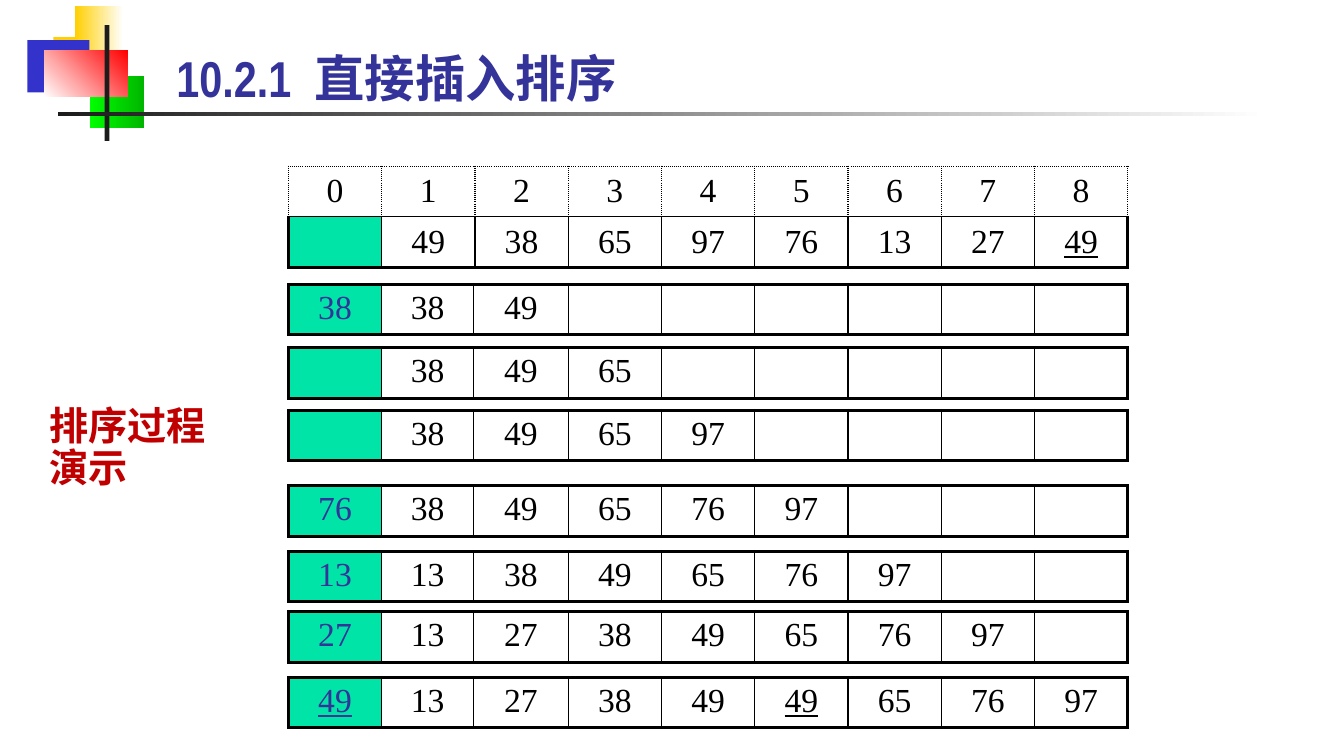
from lxml import etree
from pptx import Presentation
from pptx.dml import color as dml
from pptx.enum import shapes, text
from pptx.oxml import ns
from pptx.util import Pt

CJK = "Noto Sans CJK SC"
BLACK, NAVY, MINT = "000000", "333399", "00E4A8"
THIN, THICK = 1, 2.25
TABLE_LEFT, COLUMN_WIDTH, ROW_HEIGHT, COLUMNS = 206, 66.64, 36, 9

# left, top, width, height, colours (two for a gradient), gradient angle
DECORATION = [
    (38.2, 26.6, 46, 37.4, ["FFCF01"], 0),
    (53.5, 4.3, 34.5, 37.4, ["FFCF01", "FFFFFF"], 0),
    (19.6, 28.6, 44.4, 37.4, ["3333CC"], 0),
    (64, 54.2, 38.8, 37.4, ["00FF00", "00B600"], 0),
    (31.6, 36, 59.6, 33.2, ["FFFFFF", "FF0000"], 45),
    (74.7, 18, 3.5, 82.6, ["1C1C1C"], 0),
    (41.2, 80, 864, 2.6, ["1C1C1C", "FFFFFF"], 0),
]

# top, sentinel, sorted prefix, underlined columns
PASSES = [
    (203, "38", [38, 49], []),
    (248.4, "", [38, 49, 65], []),
    (293, "", [38, 49, 65, 97], []),
    (347, "76", [38, 49, 65, 76, 97], []),
    (393.8, "13", [13, 38, 49, 65, 76, 97], []),
    (437, "27", [13, 27, 38, 49, 65, 76, 97], []),
    (483.8, "49", [13, 27, 38, 49, 49, 65, 76, 97], [0, 5]),
]


def rgb(value):
    return dml.RGBColor.from_string(value)


def format_run(run, size, color, font, bold=False, east_asian=None):
    run.font.name = font
    run.font.size = Pt(size)
    run.font.bold = bold
    run.font.color.rgb = rgb(color)
    if east_asian:
        properties = run._r.get_or_add_rPr()
        etree.SubElement(properties, ns.qn("a:ea")).set("typeface", east_asian)


def add_block(slide, left, top, width, height, colors, angle):
    shape = slide.shapes.add_shape(
        shapes.MSO_SHAPE.RECTANGLE, Pt(left), Pt(top), Pt(width), Pt(height))
    shape.shadow.inherit = False
    shape.line.fill.background()
    if len(colors) == 1:
        shape.fill.solid()
        shape.fill.fore_color.rgb = rgb(colors[0])
        return
    shape.fill.gradient()
    shape.fill.gradient_angle = angle
    for stop, color in zip(shape.fill.gradient_stops, colors):
        stop.color.rgb = rgb(color)


def set_title(slide):
    title = slide.shapes.title
    title.left, title.top, title.width, title.height = Pt(118.8), Pt(34.6), Pt(584.6), Pt(59.8)
    frame = title.text_frame
    frame.auto_size = text.MSO_AUTO_SIZE.NONE
    frame.vertical_anchor = text.MSO_ANCHOR.TOP
    paragraph = frame.paragraphs[0]
    paragraph.alignment = text.PP_ALIGN.LEFT
    paragraph.line_spacing = 0.9
    for part in ("10.2.1", " ", "直接插入排序"):
        run = paragraph.add_run()
        run.text = part
        format_run(run, 36, NAVY, "Arial Narrow", True, CJK)
    # Widen the gap between number and name
    paragraph.runs[1]._r.get_or_add_rPr().set("spc", "820")
    slide.shapes._spTree.append(title._element)


def add_label(slide, lines):
    box = slide.shapes.add_textbox(Pt(28.1), Pt(286.6), Pt(127.4), Pt(74.9))
    frame = box.text_frame
    frame.word_wrap = False
    frame.auto_size = text.MSO_AUTO_SIZE.SHAPE_TO_FIT_TEXT
    frame.text = "\n".join(lines)
    for paragraph in frame.paragraphs:
        paragraph.line_spacing = 0.9
        format_run(paragraph.runs[0], 28, "C00000", CJK, True, CJK)


def set_borders(cell, left, right, top, bottom, dotted=""):
    properties = cell._tc.get_or_add_tcPr()
    for side, width in zip("LRTB", (left, right, top, bottom)):
        line = etree.SubElement(properties, ns.qn(f"a:ln{side}"), w=str(Pt(width)))
        fill = etree.SubElement(line, ns.qn("a:solidFill"))
        etree.SubElement(fill, ns.qn("a:srgbClr"), val=BLACK)
        dash = "sysDot" if side in dotted else "solid"
        etree.SubElement(line, ns.qn("a:prstDash"), val=dash)


def fill_cell(cell, value, color=BLACK, underlined=False, background=None):
    if background:
        cell.fill.solid()
        cell.fill.fore_color.rgb = rgb(background)
    else:
        cell.fill.background()
    cell.text = str(value)
    paragraph = cell.text_frame.paragraphs[0]
    paragraph.alignment = text.PP_ALIGN.CENTER
    for run in paragraph.runs:
        format_run(run, 24, color, "Times New Roman")
        if underlined:
            run.font.underline = True


def add_grid(slide, top, rows, shift=0):
    frame = slide.shapes.add_table(
        rows, COLUMNS, Pt(TABLE_LEFT), Pt(top), Pt(COLUMN_WIDTH * COLUMNS), Pt(ROW_HEIGHT * rows))
    table = frame.table
    table.first_row = table.horz_banding = False
    for column in table.columns:
        column.width = Pt(COLUMN_WIDTH)
    table.columns[1].width = Pt(COLUMN_WIDTH - shift)
    table.columns[2].width = Pt(COLUMN_WIDTH + shift)
    return table


def fill_array_row(table, row, values, underlined, top_border):
    for column in range(COLUMNS):
        cell = table.cell(row, column)
        set_borders(cell, THICK if column == 0 else THIN,
                    THICK if column == COLUMNS - 1 else THIN, top_border, THICK)
        value = values[column] if column < len(values) else ""
        fill_cell(cell, value, BLACK if column else NAVY, column in underlined,
                  None if column else MINT)


def add_initial_table(slide):
    table = add_grid(slide, 118.8, 2)
    for index in range(COLUMNS):
        cell = table.cell(0, index)
        set_borders(cell, THIN, THIN, THIN, THIN, dotted="LRT")
        fill_cell(cell, index)
    fill_array_row(table, 1, ["", 49, 38, 65, 97, 76, 13, 27, 49], [8], THIN)
    for cell in table.iter_cells():
        cell.vertical_anchor = text.MSO_ANCHOR.MIDDLE


def main():
    presentation = Presentation()
    presentation.slide_width, presentation.slide_height = Pt(960), Pt(540)
    slide = presentation.slides.add_slide(presentation.slide_layouts[5])

    # Corner decoration and heading rule
    for block in DECORATION:
        add_block(slide, *block)

    # Side label
    add_label(slide, ["排序过程", "演示"])

    # Initial array, then one table per insertion pass
    add_initial_table(slide)
    for top, sentinel, prefix, underlined in PASSES:
        table = add_grid(slide, top, 1, shift=1)
        fill_array_row(table, 0, [sentinel, *prefix], underlined, THICK)

    # Heading
    set_title(slide)
    presentation.save("out.pptx")


if __name__ == "__main__":
    main()
